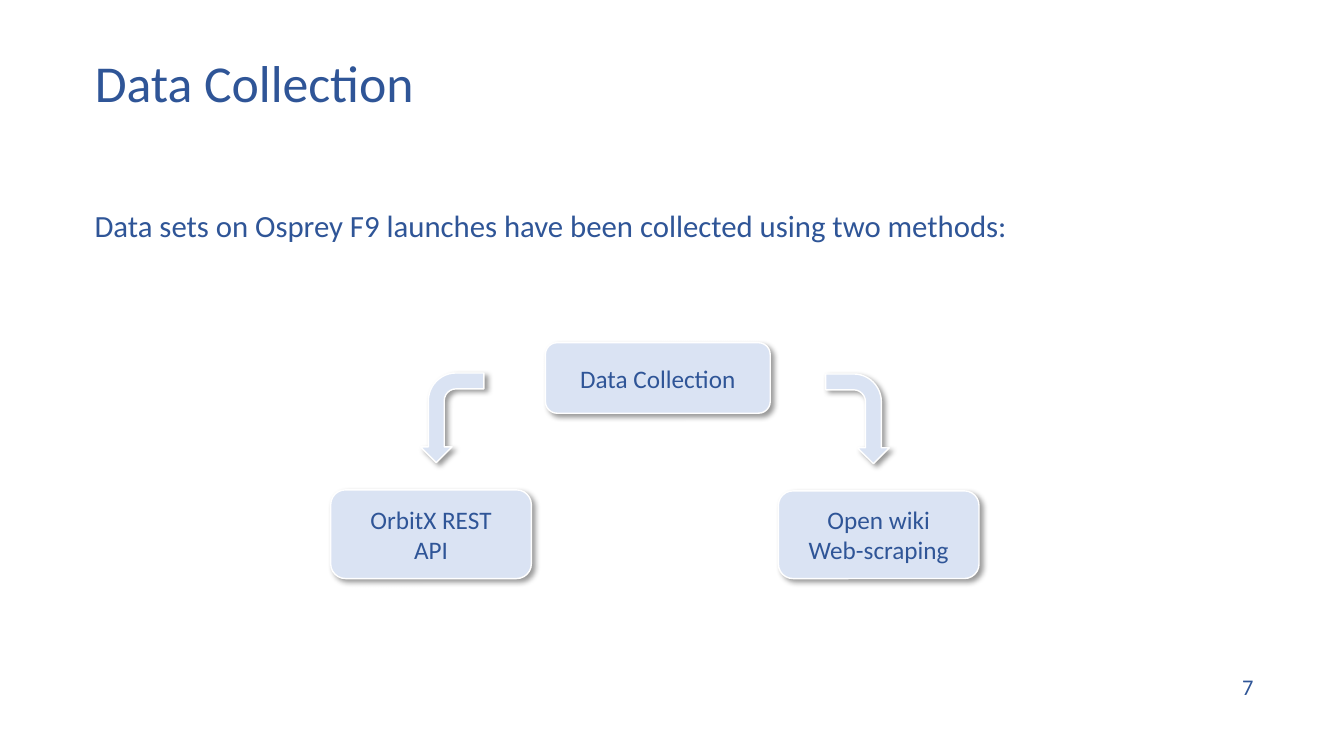
from dataclasses import dataclass

from lxml.etree import SubElement
from pptx import Presentation
from pptx.dml.color import RGBColor
from pptx.enum.shapes import MSO_SHAPE as Preset
from pptx.enum.text import MSO_ANCHOR as Anchor, MSO_AUTO_SIZE as AutoSize, PP_ALIGN as Align
from pptx.oxml.ns import qn
from pptx.shapes.autoshape import Shape
from pptx.slide import Slide
from pptx.util import Inches, Pt

COLORS = {"text": "2F5597", "fill": "DAE3F3", "line": "FFFFFF", "shadow": "000000"}
FONT = "Calibri"


@dataclass(frozen=True)
class Frame:
    left: float
    top: float
    width: float
    height: float

    def lengths(self) -> tuple[Inches, Inches, Inches, Inches]:
        return Inches(self.left), Inches(self.top), Inches(self.width), Inches(self.height)


@dataclass(frozen=True)
class Box:
    frame: Frame
    lines: tuple[str, ...]


@dataclass(frozen=True)
class BentArrow:
    frame: Frame
    rotation: float
    mirrored: bool


TITLE_FRAME = Frame(0.84, 0.59, 11.5, 0.6)
INTRO_FRAME = Frame(0.84, 2, 11.36, 4.76)
NUMBER_FRAME = Frame(9.53, 6.59, 3, 0.44)

BOXES = [
    Box(Frame(7.72, 4.87, 1.99, 0.87), ("Open wiki", "Web-scraping")),
    Box(Frame(3.28, 4.86, 1.99, 0.88), ("OrbitX REST", "API")),
    Box(Frame(5.41, 3.4, 2.23, 0.7), ("Data Collection",)),
]
ARROWS = [
    BentArrow(Frame(8.06, 3.84, 0.89, 0.63), 90, False),
    BentArrow(Frame(4.04, 3.83, 0.89, 0.63), 270, True),
]


def write(shape: Shape, lines: tuple[str, ...], size: float, align: Align, anchor: Anchor) -> None:
    text_frame = shape.text_frame
    text_frame.word_wrap = True
    text_frame.auto_size = AutoSize.NONE
    text_frame.vertical_anchor = anchor
    text_frame.text = "\n".join(lines)
    for paragraph in text_frame.paragraphs:
        paragraph.alignment = align
        paragraph.font.name = FONT
        paragraph.font.size = Pt(size)
        paragraph.font.color.rgb = RGBColor.from_string(COLORS["text"])


def add_raised_shape(slide: Slide, preset: Preset, frame: Frame) -> Shape:
    """Add a pale shape with a white outline and a soft shadow to the lower right."""
    shape = slide.shapes.add_shape(preset, *frame.lengths())
    shape.fill.solid()
    shape.fill.fore_color.rgb = RGBColor.from_string(COLORS["fill"])
    shape.line.color.rgb = RGBColor.from_string(COLORS["line"])
    shape.line.width = Pt(1)
    shape.shadow.inherit = False
    effects = shape._element.spPr.find(qn("a:effectLst"))
    shadow = SubElement(effects, qn("a:outerShdw"), blurRad=str(Pt(4)), dist=str(Pt(3)),
                        dir=str(45 * 60000), algn="tl", rotWithShape="0")
    color = SubElement(shadow, qn("a:srgbClr"), val=COLORS["shadow"])
    SubElement(color, qn("a:alpha"), val="40000")
    return shape


def add_box(slide: Slide, box: Box) -> None:
    shape = add_raised_shape(slide, Preset.ROUNDED_RECTANGLE, box.frame)
    write(shape, box.lines, 18, Align.CENTER, Anchor.MIDDLE)


def add_arrow(slide: Slide, arrow: BentArrow) -> None:
    shape = add_raised_shape(slide, Preset.BENT_ARROW, arrow.frame)
    shape.rotation = arrow.rotation
    if arrow.mirrored:
        shape._element.spPr.get_or_add_xfrm().flipH = True


def add_text(slide: Slide, frame: Frame, text: str, size: float, align: Align, anchor: Anchor) -> None:
    write(slide.shapes.add_textbox(*frame.lengths()), (text,), size, align, anchor)


def main() -> None:
    presentation = Presentation()
    presentation.slide_width = Inches(13.33)
    presentation.slide_height = Inches(7.5)
    slide = presentation.slides.add_slide(presentation.slide_layouts[5])

    title = slide.shapes.title
    title.left, title.top, title.width, title.height = TITLE_FRAME.lengths()
    write(title, ("Data Collection",), 37, Align.LEFT, Anchor.MIDDLE)
    title.text_frame.paragraphs[0].line_spacing = 0.7

    add_text(slide, INTRO_FRAME, "Data sets on Osprey F9 launches have been collected using two methods:",
             22, Align.LEFT, Anchor.TOP)
    for box in BOXES:
        add_box(slide, box)
    for arrow in ARROWS:
        add_arrow(slide, arrow)
    add_text(slide, NUMBER_FRAME, "7", 16, Align.RIGHT, Anchor.MIDDLE)

    presentation.save("out.pptx")


if __name__ == "__main__":
    main()
